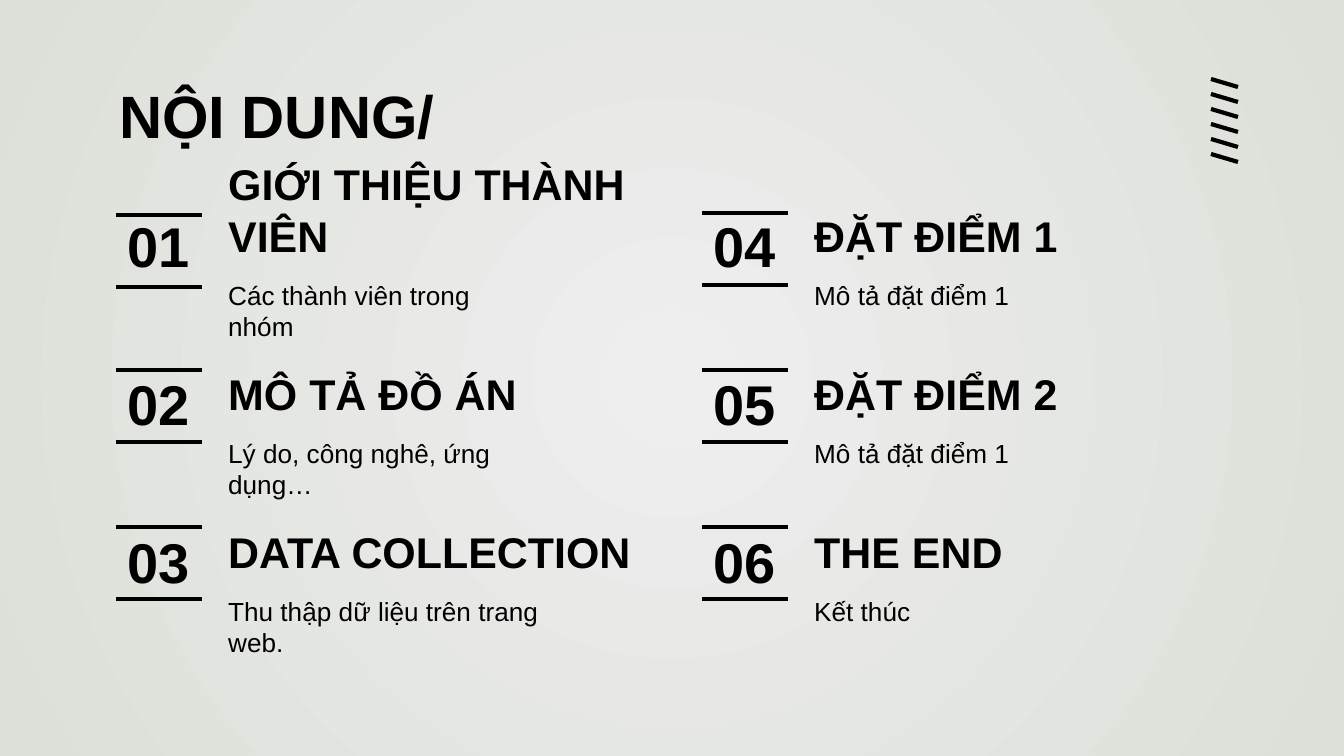
from lxml import etree
from pptx import Presentation
from pptx.dml.color import RGBColor
from pptx.enum.shapes import MSO_CONNECTOR
from pptx.enum.text import MSO_ANCHOR, PP_ALIGN
from pptx.oxml.ns import qn
from pptx.util import Emu, Pt

STRAIGHT = MSO_CONNECTOR.STRAIGHT
TOP, MIDDLE, BOTTOM = MSO_ANCHOR.TOP, MSO_ANCHOR.MIDDLE, MSO_ANCHOR.BOTTOM
LEFT, CENTER = PP_ALIGN.LEFT, PP_ALIGN.CENTER
EMU_PER_PX = 9144000 / 1344


def px(length):
    return Emu(round(length * EMU_PER_PX))


def color(hex_string):
    return RGBColor.from_string(hex_string)


class SlideBuilder:
    font = "Arial"
    ink = "000000"
    line_width = 2.25
    inset = 13

    def __init__(self, page):
        self.page = page

    def background(self, center, edge):
        fill = self.page.background.fill
        fill.gradient()
        for stop, shade in zip(fill.gradient_stops, (center, edge)):
            stop.color.rgb = color(shade)
        gradient = self.page.element.find(".//" + qn("a:gradFill"))
        gradient.remove(gradient.find(qn("a:lin")))
        path = etree.SubElement(gradient, qn("a:path"), path="circle")
        sides = dict.fromkeys("ltrb", "50000")
        etree.SubElement(path, qn("a:fillToRect"), **sides)

    def line_group(self, lines):
        group = self.page.shapes.add_group_shape()
        for points in lines:
            line = group.shapes.add_connector(STRAIGHT, *map(px, points))
            line.line.color.rgb = color(self.ink)
            line.line.width = Pt(self.line_width)
            etree.SubElement(line.element.spPr, qn("a:effectLst"))

    def text(self, text, left, top, width, height, size,
             bold=True, anchor=TOP, align=LEFT):
        box = self.page.shapes.add_textbox(*map(px, (left, top, width, height)))
        frame = box.text_frame
        frame.word_wrap = True
        frame.vertical_anchor = anchor
        frame.margin_top = frame.margin_bottom = px(self.inset)
        frame.text = text
        para = frame.paragraphs[0]
        para.alignment = align
        for span in para.runs:
            span.font.name = self.font
            span.font.size = Pt(size)
            span.font.bold = bold
            span.font.color.rgb = color(self.ink)

    def entry(self, number, heading, detail, left, top, rule_top,
              heading_width, detail_width):
        self.line_group([(left + 10, y, left + 96, y)
                         for y in (rule_top, rule_top + 72)])
        self.text(number, left, top, 106, 58, 30, anchor=MIDDLE, align=CENTER)
        self.text(heading, left + 109, top, heading_width, 58, 23, anchor=BOTTOM)
        self.text(detail, left + 109, top + 50, detail_width, 79, 14, bold=False)


ENTRIES = [
    ("GIỚI THIỆU THÀNH VIÊN", "Các thành viên trong nhóm", 215, 487, 323),
    ("MÔ TẢ ĐỒ ÁN", "Lý do, công nghê, ứng dụng…", 370, 435, 323),
    ("DATA COLLECTION", "Thu thập dữ liệu trên trang web.", 527, 435, 374),
    ("ĐẶT ĐIỂM 1", "Mô tả đặt điểm 1", 213, 435, 323),
    ("ĐẶT ĐIỂM 2", "Mô tả đặt điểm 1", 370, 435, 323),
    ("THE END", "Kết thúc", 527, 435, 323),
]


def main():
    deck = Presentation()
    deck.slide_width, deck.slide_height = px(1344), px(756)
    builder = SlideBuilder(deck.slides.add_slide(deck.slide_layouts[6]))
    builder.background("EEEEEE", "DCE0D8")
    builder.text("NỘI DUNG/", 106, 66, 1133, 85, 32)
    for index, (heading, detail, rule_top, *widths) in enumerate(ENTRIES):
        column, row = divmod(index, 3)
        builder.entry(f"{index + 1:02}", heading, detail, 106 + 586 * column,
                      216 + 158 * row, rule_top, *widths)
    builder.line_group([(1238, y, 1211, y - 8) for y in range(87, 177, 15)])
    deck.save("out.pptx")


if __name__ == "__main__":
    main()
